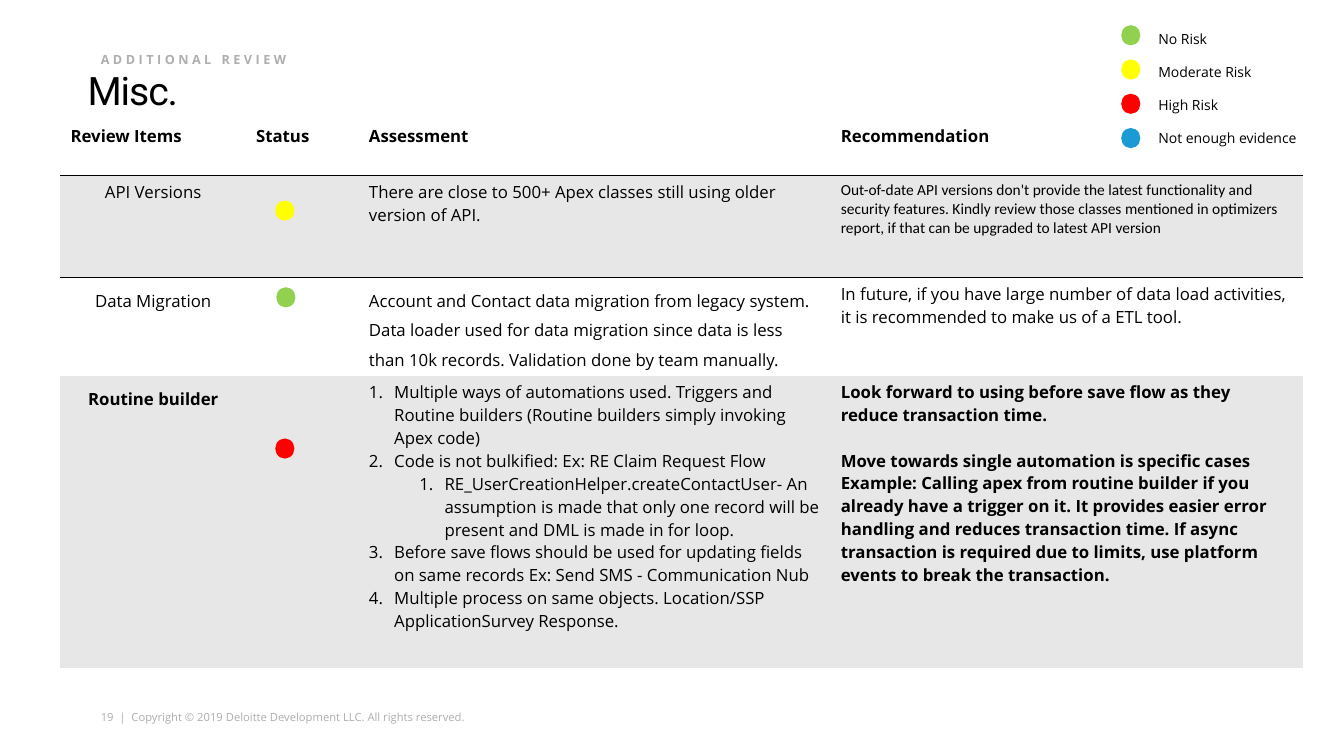
"""Build the review slide with its risk legend and findings table."""
from lxml import etree
from pptx import Presentation, util as u
from pptx.dml import color
from pptx.enum import shapes, text
from pptx.oxml import ns

BLACK, GREY, BAND, WHITE = "000000", "AEAEAE", "E7E7E7", "FFFFFF"
GREEN, YELLOW, RED, BLUE = "92D050", "FFFF00", "FF0000", "1B9AD6"
PLAIN = "{2D5ABB26-0587-4C30-8999-92F81FD0307C}"


def rgb(code):
    """Turn a hex string into a colour."""
    return color.RGBColor.from_string(code)


class Deck:
    """Hold the style and the current slide."""

    font = "Open Sans"

    def __init__(self):
        """Open a blank wide slide."""
        self.prs = Presentation()
        self.prs.slide_width = u.Inches(13.33)
        self.prs.slide_height = u.Inches(7.5)
        self.slide = self.prs.slides.add_slide(self.prs.slide_layouts[6])

    def style(self, para, size=12, bold=False, ink=BLACK, font=None, gap=None, line=None, align=None):
        """Format a paragraph and its runs."""
        if line:
            para.line_spacing = line
        if align:
            para.alignment = align
        for run in para.runs:
            run.font.size = u.Pt(size)
            run.font.bold = bold
            run.font.name = font or self.font
            run.font.color.rgb = rgb(ink)
            if gap:
                run.font._element.set("spc", str(gap))

    def label(self, words, box, pad=(0, 0, 0, 0), wrap=True, low=False, **look):
        """Add a text box."""
        frame = self.slide.shapes.add_textbox(*map(u.Inches, box)).text_frame
        frame.word_wrap = wrap
        frame.margin_left, frame.margin_top, frame.margin_right, frame.margin_bottom = map(u.Inches, pad)
        frame.vertical_anchor = text.MSO_ANCHOR.BOTTOM if low else text.MSO_ANCHOR.TOP
        frame.text = words
        self.style(frame.paragraphs[0], **look)

    def dot(self, left, top, fill):
        """Add a status dot."""
        size = u.Inches(0.19), u.Inches(0.2)
        dot = self.slide.shapes.add_shape(shapes.MSO_SHAPE.OVAL, u.Inches(left), u.Inches(top), *size)
        dot.shadow.inherit = False
        dot.fill.solid()
        dot.fill.fore_color.rgb = rgb(fill)
        dot.line.fill.background()

    def table(self, left, top, cols, rows):
        """Add an empty table without a style."""
        box = map(u.Inches, (left, top, sum(cols), sum(rows)))
        grid = self.slide.shapes.add_table(len(rows), len(cols), *box).table
        grid._tbl.tblPr.find(ns.qn("a:tableStyleId")).text = PLAIN
        grid.horz_banding = False
        grid.first_row = False
        for col, wide in zip(grid.columns, cols):
            col.width = u.Inches(wide)
        for row, high in zip(grid.rows, rows):
            row.height = u.Inches(high)
        return grid

    def cell(self, cell, words, fill, **look):
        """Fill one cell with text and colour."""
        cell.text = words
        cell.fill.solid()
        cell.fill.fore_color.rgb = rgb(fill)
        for para in cell.text_frame.paragraphs:
            self.style(para, **look)

    def rule(self, cell, side):
        """Draw a black border on one side of a cell."""
        props = cell._tc.get_or_add_tcPr()
        line = etree.Element(ns.qn("a:" + side), w=str(u.Pt(1)))
        fill = etree.SubElement(line, ns.qn("a:solidFill"))
        etree.SubElement(fill, ns.qn("a:srgbClr"), val=BLACK)
        props.insert(0, line)

    def number(self, para, level):
        """Number a paragraph at the given level."""
        para.level = level
        props = para._p.get_or_add_pPr()
        props.set("marL", str(u.Inches(0.25 + 0.5 * level)))
        props.set("indent", str(u.Inches(-0.25)))
        etree.SubElement(props, ns.qn("a:buFont"), typeface="+mj-lt")
        etree.SubElement(props, ns.qn("a:buAutoNum"), type="arabicPeriod")


HEADS = ["Review Items", "Status", "Assessment", "Recommendation"]
STEPS = [
    (0, "Multiple ways of automations used. Triggers and Routine builders "
        "(Routine builders simply invoking Apex code)"),
    (0, "Code is not bulkified: Ex: RE Claim Request Flow"),
    (1, "RE_UserCreationHelper.createContactUser- An assumption is made that only one "
        "record will be present and DML is made in for loop."),
    (0, "Before save flows should be used for updating fields on same records "
        "Ex: Send SMS - Communication Nub"),
    (0, "Multiple process on same objects. Location/SSP ApplicationSurvey Response."),
]
ITEMS = [
    ["API Versions", "",
     "There are close to 500+ Apex classes still using older version of API.",
     "Out-of-date API versions don't provide the latest functionality and security features. "
     "Kindly review those classes mentioned in optimizers report, "
     "if that can be upgraded to latest API version"],
    ["Data Migration", "",
     "Account and Contact data migration from legacy system. Data loader used for data migration "
     "since data is less than 10k records. Validation done by team manually.",
     "In future, if you have large number of data load activities, "
     "it is recommended to make us of a ETL tool."],
    ["Routine builder", "",
     "\n".join(words for _, words in STEPS),
     "Look forward to using before save flow as they reduce transaction time.\n"
     "Move towards single automation is specific cases Example: Calling apex from routine builder "
     "if you already have a trigger on it. It provides easier error handling and reduces "
     "transaction time. If async transaction is required due to limits, "
     "use platform events to break the transaction."],
]
MID = text.PP_ALIGN.CENTER
LOOKS = {
    (0, 0): dict(align=MID),
    (0, 3): dict(size=11, font="Calibri"),
    (1, 0): dict(align=MID, line=1.3),
    (1, 2): dict(line=1.3),
    (2, 0): dict(align=MID, line=1.3, bold=True),
    (2, 3): dict(bold=True),
}
LEGEND = [("No Risk", GREEN), ("Moderate Risk", YELLOW), ("High Risk", RED), ("Not enough evidence", BLUE)]
MARKS = [(2.73, 1.99, YELLOW), (2.74, 2.85, GREEN), (2.73, 4.35, RED)]


def main():
    """Draw the slide and save it."""
    deck = Deck()
    deck.label("19  |  Copyright © 2019 Deloitte Development LLC. All rights reserved.",
               (1, 7.05, 3.67, 0.13), wrap=False, size=8, ink=GREY)
    deck.label("Misc.", (0.87, 0.47, 11.33, 0.65), pad=(0, 0.05, 0, 0), low=True,
               size=28, font="Roboto", gap=-80, line=0.8)
    deck.label("ADDITIONAL REVIEW", (1, 0.51, 3.67, 0.22), size=9, bold=True, ink=GREY, gap=250)

    grid = deck.table(0.6, 1.12, [1.84, 1.12, 4.68, 4.68], [0.62, 1.01, 0.98, 2.9])
    for c, head in enumerate(HEADS):
        deck.cell(grid.cell(0, c), head, WHITE, bold=True, line=1.3)
        deck.rule(grid.cell(0, c), "lnB")
    for r, item in enumerate(ITEMS):
        for c, words in enumerate(item):
            fill = WHITE if r % 2 else BAND
            deck.cell(grid.cell(r + 1, c), words, fill, **LOOKS.get((r, c), {}))
    for c in range(len(HEADS)):
        deck.rule(grid.cell(1, c), "lnT")
    for para, (level, _) in zip(grid.cell(3, 2).text_frame.paragraphs, STEPS):
        deck.number(para, level)
    grid.cell(3, 3).text_frame.paragraphs[1].space_before = u.Pt(16)

    for i, (words, fill) in enumerate(LEGEND):
        deck.dot(11.12, 0.25 + 0.34 * i, fill)
        deck.label(words, (11.39, 0.2 + 0.33 * i, 1.82, 0.3), pad=(0.1, 0.05, 0.1, 0.05),
                   size=10, line=1.3)
    for mark in MARKS:
        deck.dot(*mark)
    deck.prs.save("out.pptx")


if __name__ == "__main__":
    main()
